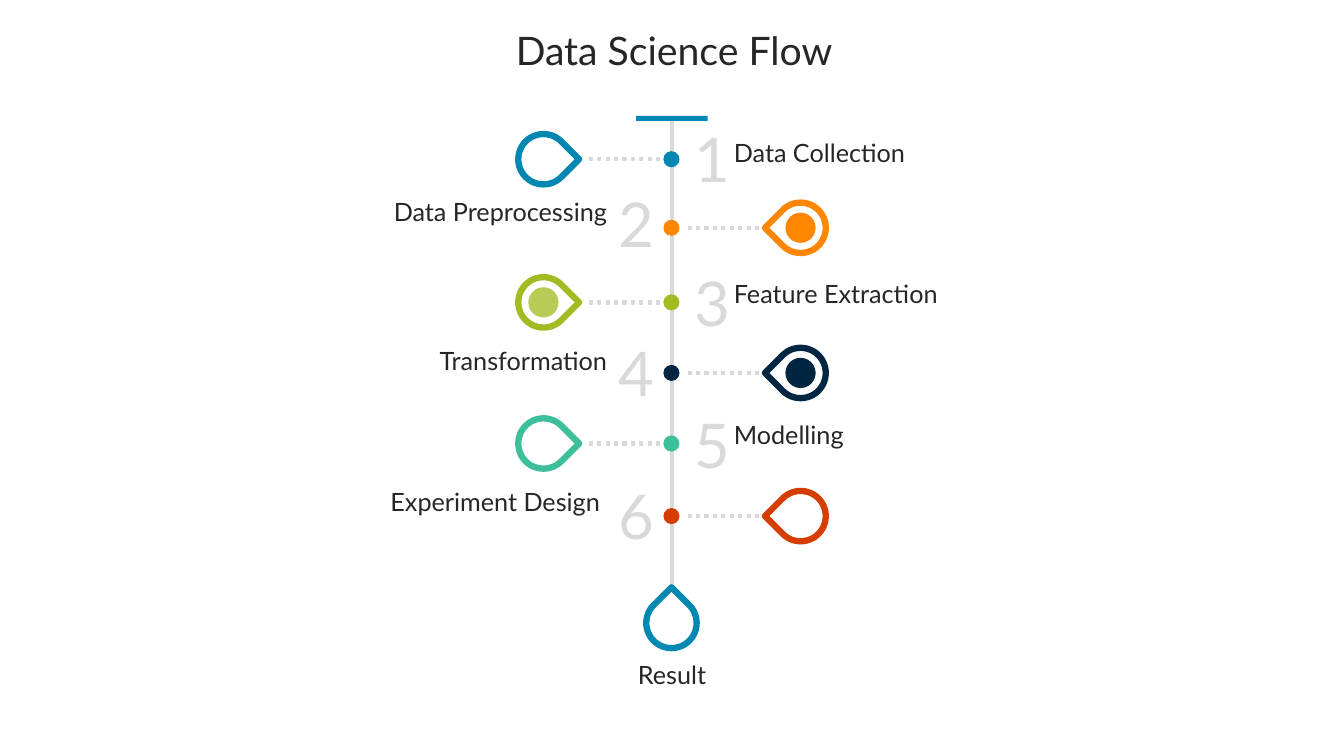
from dataclasses import dataclass

from lxml.etree import SubElement
from pptx import Presentation
from pptx.dml.color import RGBColor
from pptx.enum.dml import MSO_LINE
from pptx.enum.shapes import MSO_CONNECTOR, MSO_SHAPE as Preset
from pptx.enum.text import MSO_ANCHOR, MSO_AUTO_SIZE, PP_ALIGN as Align
from pptx.oxml.ns import qn
from pptx.util import Pt

# Content: label, colour, core colour, centre y, number top, label top (px)
TITLE = "Data Science Flow"
RESULT = "Result"
STEPS = [
    ("Data Collection", "0087B1", None, 158, 115, 131),
    ("Data Preprocessing", "FF8601", "FF8600", 226, 180, 190),
    ("Feature Extraction", "A1BB22", "B7CB56", 300, 258, 271),
    ("Transformation", "012641", "002541", 370, 327, 338),
    ("Modelling", "3DBF9C", None, 440, 399, 411),
    ("Experiment Design", "D43E01", None, 512, 469, 478),
]


@dataclass(frozen=True)
class Theme:
    font: str = "Lato"
    ink: str = "262626"
    grey: str = "D9D9D9"
    blue: str = "0087B2"
    title: int = 28
    number: int = 44
    label: int = 18
    spine: float = 2.25
    dots: int = 3
    pin: float = 4.5


THEME = Theme()
PX = 9144  # 100 px to the inch

# Layout in px
SPINE_X, SPINE_TOP, SPINE_END = 666, 120, 580
PIN, CORE, DOT = 50, 30, 16
PIN_OFFSET = 128
DOTS_NEAR, DOTS_FAR = 10, 82
LABEL_W, LABEL_H = 421, 40
NUMBER_W, NUMBER_H = 54, 84


def px(*lengths):
    return [length * PX for length in lengths]


def color(code):
    return RGBColor.from_string(code)


def write(frame, text, size, ink=THEME.ink, align=Align.LEFT):
    frame.word_wrap = True
    frame.auto_size = MSO_AUTO_SIZE.NONE
    frame.vertical_anchor = MSO_ANCHOR.TOP
    paragraph = frame.paragraphs[0]
    paragraph.alignment = align
    run = paragraph.add_run()
    run.text = text
    run.font.name = THEME.font
    run.font.size = Pt(size)
    run.font.color.rgb = color(ink)


def add_text(slide, box, *style, **options):
    write(slide.shapes.add_textbox(*px(*box)).text_frame, *style, **options)


def add_solid(slide, preset, box, fill):
    solid = slide.shapes.add_shape(preset, *px(*box))
    solid.shadow.inherit = False
    solid.fill.solid()
    solid.fill.fore_color.rgb = color(fill)
    solid.line.fill.background()
    return solid


def add_disc(slide, x, y, size, fill):
    add_solid(slide, Preset.OVAL, (x - size // 2, y - size // 2, size, size), fill)


def add_pin(slide, x, y, rotation, outline):
    pin = slide.shapes.add_shape(
        Preset.TEAR, *px(x - PIN // 2, y - PIN // 2, PIN, PIN))
    pin.shadow.inherit = False
    pin.rotation = rotation
    pin.fill.background()
    pin.line.color.rgb = color(outline)
    pin.line.width = Pt(THEME.pin)


def add_line(slide, ends, width):
    line = slide.shapes.add_connector(MSO_CONNECTOR.STRAIGHT, *px(*ends))
    line.line.color.rgb = color(THEME.grey)
    line.line.width = Pt(width)
    SubElement(line._element.spPr, qn("a:effectLst"))
    return line


def add_step(slide, number, step):
    label, main, core, y, number_top, label_top = step
    on_left = number % 2 == 1  # the pin is left, the text right
    side = -1 if on_left else 1
    pin_x = SPINE_X + side * PIN_OFFSET - (on_left and -1)
    near, far = (SPINE_X + side * d for d in (DOTS_NEAR, DOTS_FAR))
    near, far = near + 6 * (not on_left), far + 6 * (not on_left)
    dotted = add_line(slide, (min(near, far), y, max(near, far), y), THEME.dots)
    dotted.line.dash_style = MSO_LINE.ROUND_DOT
    add_pin(slide, pin_x, y, 45 if on_left else 225, main)
    add_disc(slide, SPINE_X, y, DOT, main)
    if core:
        add_disc(slide, pin_x, y, CORE, core)
    number_x = SPINE_X + 13 if on_left else SPINE_X - 62
    add_text(slide, (number_x, number_top, NUMBER_W, NUMBER_H),
             str(number), THEME.number, THEME.grey)
    last_inset = 7 if number == len(STEPS) else 0
    label_x = 718 if on_left else 612 - LABEL_W - last_inset
    add_text(slide, (label_x, label_top, LABEL_W, LABEL_H), label, THEME.label,
             align=Align.LEFT if on_left else Align.RIGHT)


def main():
    deck = Presentation()
    deck.slide_width, deck.slide_height = px(1333, 750)
    slide = deck.slides.add_slide(deck.slide_layouts[5])

    # Title
    title = slide.shapes.title
    title.left, title.top, title.width, title.height = px(458, 21, LABEL_W, 57)
    write(title.text_frame, TITLE, THEME.title, align=Align.CENTER)

    # Spine hanging from its bar
    bar = add_solid(slide, Preset.RECTANGLE, (631, SPINE_TOP - 5, 71, 5), THEME.blue)
    spine = add_line(slide, (SPINE_X, SPINE_TOP, SPINE_X, SPINE_END), THEME.spine)
    spine.begin_connect(bar, 2)
    spine.end_x = spine.begin_x

    # Steps
    for number, step in enumerate(STEPS, start=1):
        add_step(slide, number, step)

    # Result
    add_pin(slide, SPINE_X, 618, 315, THEME.blue)
    add_text(slide, (456, 649, LABEL_W, LABEL_H), RESULT, THEME.label,
             align=Align.CENTER)

    deck.save("out.pptx")


if __name__ == "__main__":
    main()
